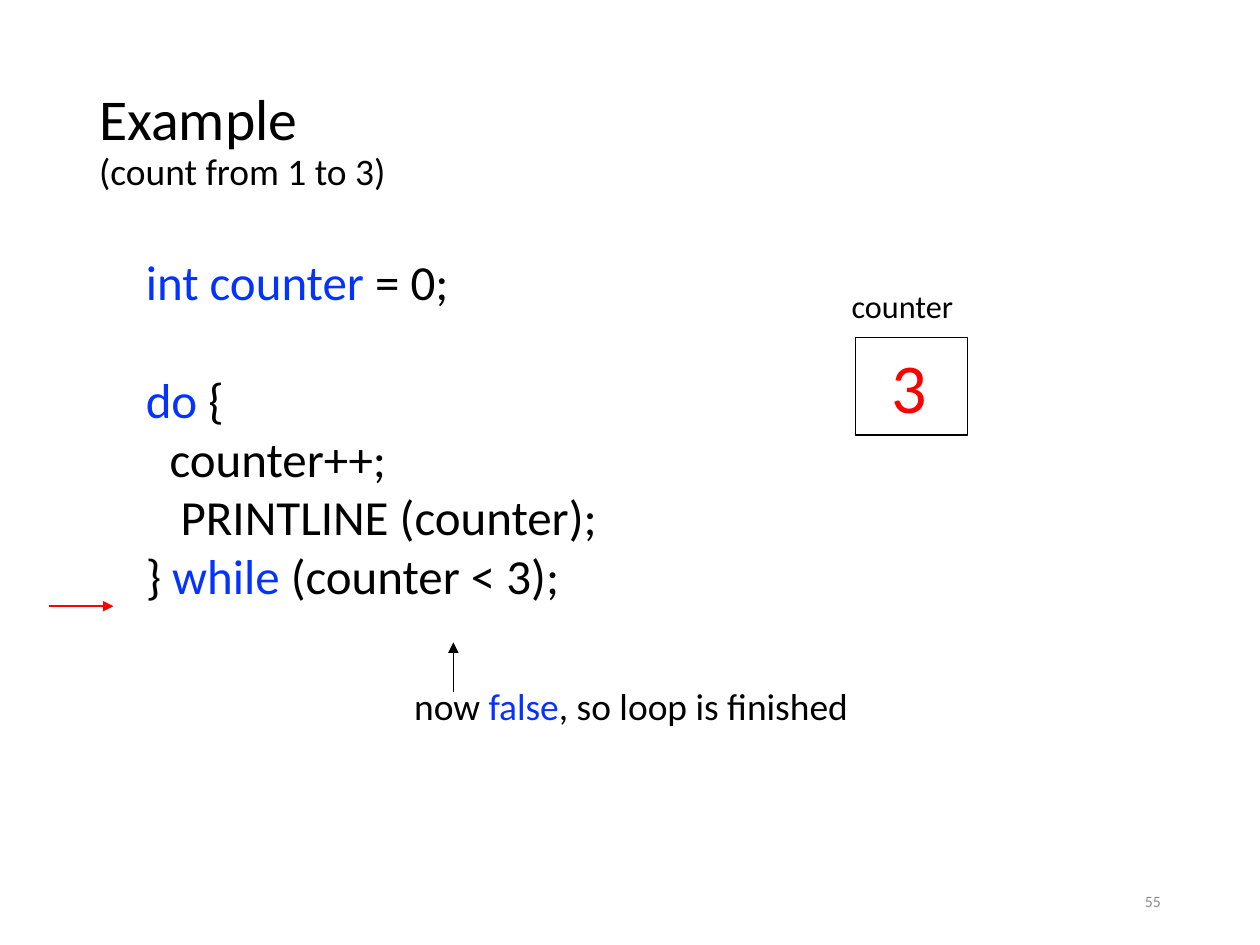
"""Slide tracing the last step of a do-while loop that counts to three."""
from lxml.etree import SubElement
from pptx import Presentation
from pptx.dml.color import RGBColor
from pptx.enum.shapes import MSO_CONNECTOR as Conn, MSO_SHAPE as Shape
from pptx.enum.text import MSO_ANCHOR as Anchor, PP_ALIGN as Align
from pptx.oxml.ns import qn
from pptx.util import Cm, Pt

BLACK = RGBColor(0x00, 0x00, 0x00)
BLUE = RGBColor(0x04, 0x32, 0xFF)
RED = RGBColor(0xFF, 0x00, 0x00)
GRAY = RGBColor(0x8C, 0x8C, 0x8C)

TITLE = [("Example", 33), ("(count from 1 to 3)", 21.4)]
LINE_GAP, BLOCK_GAP = 3.2, 37.2
BASE, INDENTED = 0.94, 1.42
CODE = [
    (BASE, 0, [("int counter", BLUE), (" = 0;", BLACK)]),
    (BASE, BLOCK_GAP, [("do", BLUE), (" {", BLACK)]),
    (INDENTED, LINE_GAP, [("counter++;", BLACK)]),
    (INDENTED, LINE_GAP, [(" PRINTLINE (counter);", BLACK)]),
    (BASE, LINE_GAP, [("} ", BLACK), ("while", BLUE), (" (counter < 3);", BLACK)]),
]
NOTE = [("now ", BLACK), ("false", BLUE), (", so loop is finished", BLACK)]
ARROWS = [
    ((9.14, 13.94), (9.14, 12.95), BLACK, 0.75),
    ((0.99, 12.22), (2.29, 12.22), RED, 1.25),
]


def add_text(s, box, paragraphs, wrap=True, anchor=Anchor.TOP, align=Align.LEFT, spacing=None):
    """Add a text box from (runs, size, margin, space before) paragraphs."""
    tf = s.shapes.add_textbox(*map(Cm, box)).text_frame
    tf.word_wrap = wrap
    tf.vertical_anchor = anchor
    for i, (runs, size, margin, before) in enumerate(paragraphs):
        p = tf.add_paragraph() if i else tf.paragraphs[0]
        p.alignment = align
        p.line_spacing = spacing
        p.space_before = Pt(before)
        if margin:
            p._p.get_or_add_pPr().set("marL", str(Cm(margin)))
        for text, color in runs:
            r = p.add_run()
            r.text = text
            r.font.name = "Calibri"
            r.font.size = Pt(size)
            r.font.color.rgb = color


def add_arrow(s, start, end, color, width):
    """Add a straight line with a triangle at its end."""
    c = s.shapes.add_connector(Conn.STRAIGHT, *map(Cm, start + end))
    c.line.color.rgb = color
    c.line.width = Pt(width)
    SubElement(c.line._get_or_add_ln(), qn("a:tailEnd"), type="triangle")
    SubElement(c._element.spPr, qn("a:effectLst"))


def main():
    """Build and save the slide."""
    prs = Presentation()
    prs.slide_width, prs.slide_height = Cm(25.4), Cm(19.05)
    s = prs.slides.add_slide(prs.slide_layouts[6])

    add_text(s, (1.75, 1.02, 21.89, 3.68),
             [([(text, BLACK)], size, 0, 0) for text, size in TITLE],
             anchor=Anchor.MIDDLE, spacing=0.9)
    add_text(s, (1.75, 5.08, 21.89, 12.09),
             [(runs, 28, margin, before) for margin, before, runs in CODE], spacing=0.9)

    sp = s.shapes.add_shape(Shape.RECTANGLE, *map(Cm, (17.25, 6.81, 2.26, 1.96)))
    sp.shadow.inherit = False
    sp.fill.background()
    sp.line.color.rgb = BLACK
    sp.line.width = Pt(0.75)

    add_text(s, (16.92, 5.64, 2.69, 1.04), [([("counter", BLACK)], 18.4, 0, 0)], wrap=False)
    add_text(s, (17.73, 6.81, 1.3, 1.96), [([("3", RED)], 40, 0, 0)], wrap=False)
    add_text(s, (8.1, 13.64, 10.24, 1.17), [(NOTE, 21.4, 0, 0)], wrap=False)
    add_text(s, (17.93, 17.65, 5.72, 1.02), [([("55", GRAY)], 9, 0, 0)],
             anchor=Anchor.MIDDLE, align=Align.RIGHT)

    for arrow in ARROWS:
        add_arrow(s, *arrow)

    prs.save("out.pptx")


if __name__ == "__main__":
    main()
